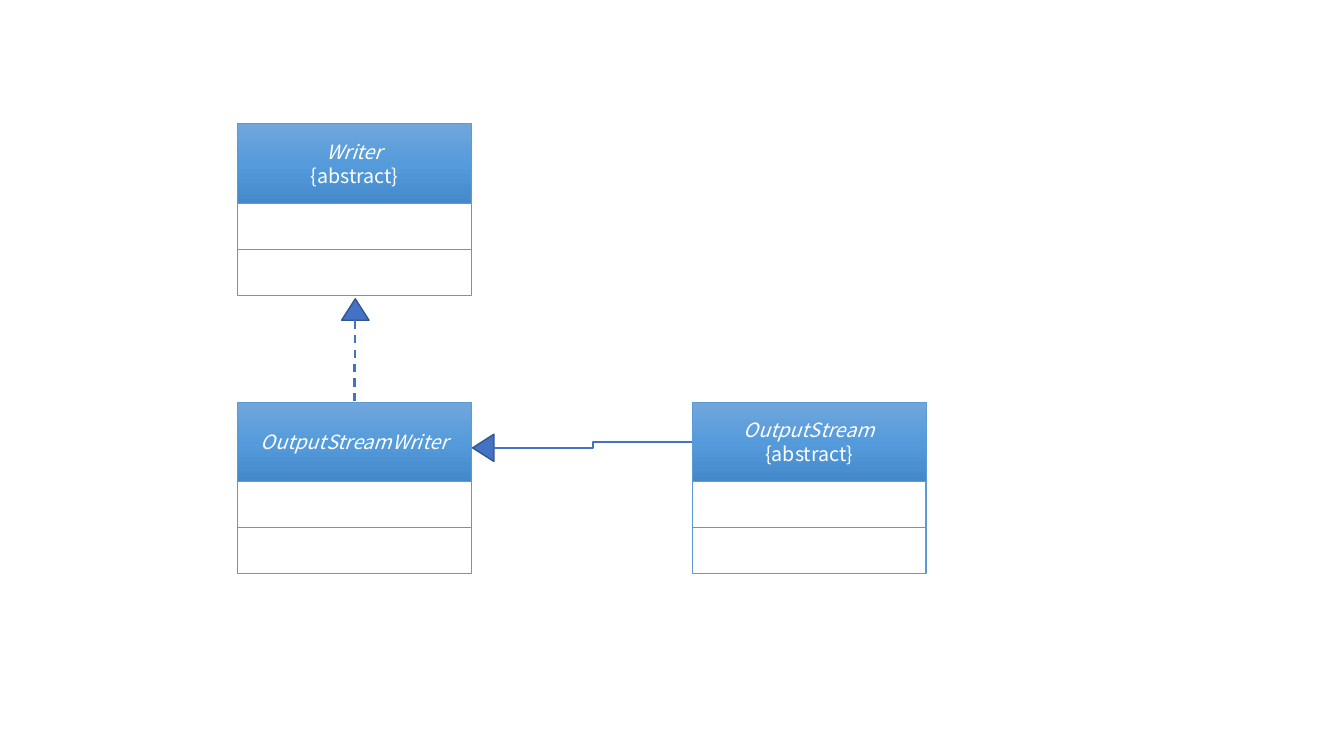
from copy import deepcopy

from lxml.etree import SubElement
from pptx import Presentation
from pptx.dml.color import RGBColor
from pptx.enum.dml import MSO_LINE
from pptx.enum.shapes import MSO_CONNECTOR, MSO_SHAPE
from pptx.enum.text import MSO_ANCHOR, PP_ALIGN
from pptx.oxml.ns import qn
from pptx.util import Cm, Pt

COLORS = {
    "white": "FFFFFF",
    "border": "5B9BD5",
    "arrow": "4472C4",
    "arrow_edge": "325491",
    "header_top": "71A6DB",
    "header_middle": "559BDB",
    "header_bottom": "448ACA",
}
FONT = "Noto Sans CJK SC"
BOX_WIDTH, HEADER_HEIGHT, ROW_HEIGHT = 5.89, 2.01, 1.16
HEAD_WIDTH, HEAD_LENGTH = 0.69, 0.54


def color(name):
    """Return the named colour."""
    return RGBColor.from_string(COLORS[name])


def add_block(slide, kind, box, line_name, line_width, fill_name=None):
    """Add an outlined shape, filled when a colour is named."""
    shape = slide.shapes.add_shape(kind, *(Cm(length) for length in box))
    shape.shadow.inherit = False
    shape.line.color.rgb = color(line_name)
    shape.line.width = Pt(line_width)
    if fill_name:
        shape.fill.solid()
        shape.fill.fore_color.rgb = color(fill_name)
    return shape


def fill_header(shape):
    """Fill a class header with the three-stop vertical gradient."""
    shape.fill.gradient()
    shape.fill.gradient_angle = 270
    stop_list = shape._element.spPr.find(qn("a:gradFill")).find(qn("a:gsLst"))
    stop_list.insert(1, deepcopy(stop_list[0]))
    names = ("header_top", "header_middle", "header_bottom")
    for index, (stop, name) in enumerate(zip(shape.fill.gradient_stops, names)):
        stop.position = index / 2
        stop.color.rgb = color(name)


def add_class(slide, left, top, name, abstract=False):
    """Add a class box: a header with the name above two empty rows."""
    header = add_block(slide, MSO_SHAPE.RECTANGLE,
                       (left, top, BOX_WIDTH, HEADER_HEIGHT), "border", 0.5)
    fill_header(header)
    frame = header.text_frame
    frame.word_wrap = True
    frame.vertical_anchor = MSO_ANCHOR.MIDDLE
    frame.text = f"{name}\n{{abstract}}" if abstract else name
    for index, paragraph in enumerate(frame.paragraphs):
        paragraph.alignment = PP_ALIGN.CENTER
        paragraph.font.name = FONT
        paragraph.font.size = Pt(14)
        paragraph.font.italic = index == 0
        paragraph.font.color.rgb = color("white")
    for row in range(2):
        row_top = top + HEADER_HEIGHT + row * ROW_HEIGHT
        add_block(slide, MSO_SHAPE.RECTANGLE,
                  (left, row_top, BOX_WIDTH, ROW_HEIGHT), "border", 1, "white")


def add_head(slide, center_x, center_y, rotation=0):
    """Add a triangular arrowhead around its centre."""
    box = (center_x - HEAD_WIDTH / 2, center_y - HEAD_LENGTH / 2,
           HEAD_WIDTH, HEAD_LENGTH)
    head = add_block(slide, MSO_SHAPE.ISOSCELES_TRIANGLE, box,
                     "arrow_edge", 1, "arrow")
    head.rotation = rotation


def add_elbow(slide, begin, end):
    """Add an elbow connector that bends halfway between its ends."""
    connector = slide.shapes.add_connector(
        MSO_CONNECTOR.ELBOW, *(Cm(length) for length in begin + end))
    connector.line.color.rgb = color("arrow")
    connector.line.width = Pt(1.5)
    SubElement(connector._element.spPr, qn("a:effectLst"))
    return connector


def add_inheritance(slide, begin, end):
    """Add the dashed upright elbow and the arrowhead above it."""
    center_x, center_y = (begin[0] + end[0]) / 2, (begin[1] + end[1]) / 2
    half_length, half_jog = (end[1] - begin[1]) / 2, (begin[0] - end[0]) / 2
    add_head(slide, begin[0], begin[1] - HEAD_LENGTH / 2)
    connector = add_elbow(slide, (center_x - half_length, center_y - half_jog),
                          (center_x + half_length, center_y + half_jog))
    connector._element.spPr.find(qn("a:xfrm")).set("rot", "5400000")
    connector.line.dash_style = MSO_LINE.DASH


def add_association(slide, begin, end):
    """Add the solid elbow and the arrowhead to its left."""
    add_head(slide, end[0] - HEAD_LENGTH / 2, end[1], 270)
    add_elbow(slide, begin, end)


def add_class_diagram(slide, left, top):
    """Place the three classes and their relations from a top left corner."""
    lower_top = top + 7.01
    right_left = left + 11.46
    middle_x = left + BOX_WIDTH / 2
    header_middle = lower_top + HEADER_HEIGHT / 2
    add_association(slide, (right_left, header_middle),
                    (left + 6.46, header_middle + 0.15))
    add_class(slide, left, top, "Writer", abstract=True)
    add_class(slide, left, lower_top, "OutputStreamWriter")
    add_class(slide, right_left, lower_top, "OutputStream", abstract=True)
    add_inheritance(slide, (middle_x + 0.02, top + 4.95), (middle_x, lower_top))


def main():
    """Build and save the presentation."""
    presentation = Presentation()
    presentation.slide_width, presentation.slide_height = Cm(33.87), Cm(19.05)
    slide = presentation.slides.add_slide(presentation.slide_layouts[6])
    add_class_diagram(slide, 5.99, 3.12)
    presentation.save("out.pptx")


if __name__ == "__main__":
    main()
